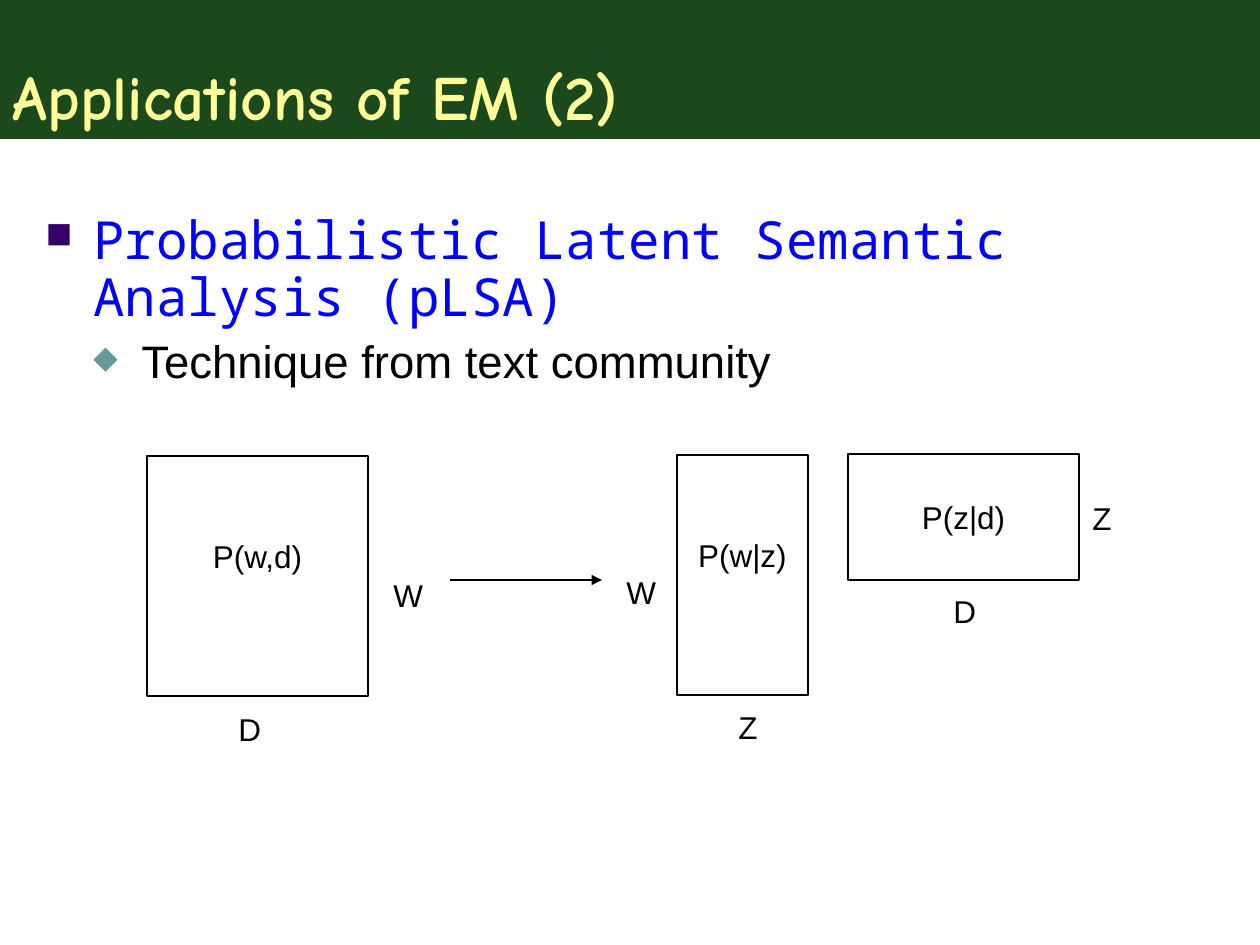
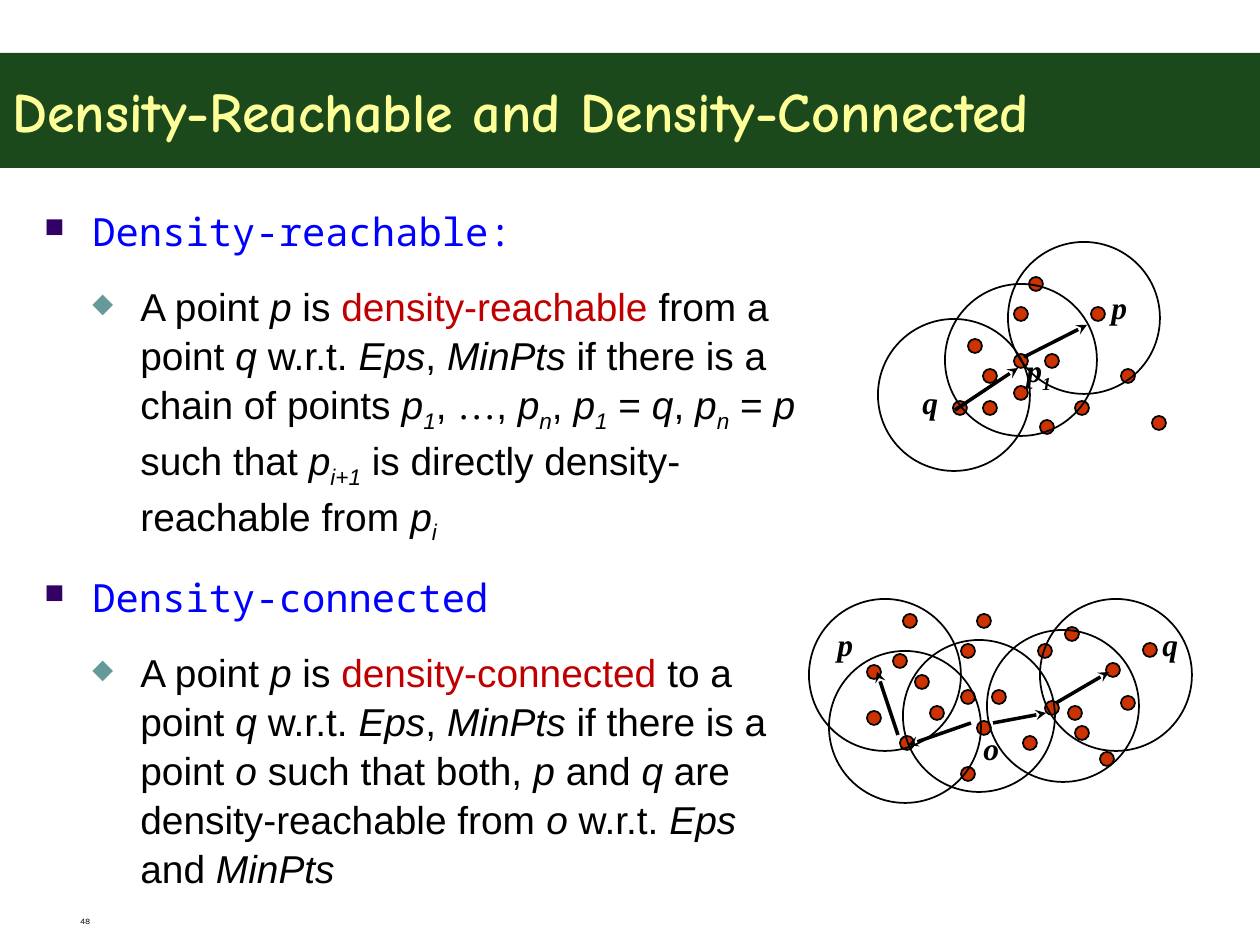
"""Build two slides on pLSA and density-based clustering."""
from dataclasses import dataclass
from typing import Any

from lxml import etree
from pptx import Presentation
from pptx import util as u
from pptx.dml.color import RGBColor
from pptx.enum import shapes, text
from pptx.oxml import ns

EMU_PER_PX = 914400 / 126
PAGE_WIDTH, PAGE_HEIGHT = 1260, 945
DOT_SIZE, CIRCLE_SIZE = 14, 152
TITLE_ONLY = 5

BAND_GREEN = RGBColor(0x00, 0x33, 0x00)
TITLE_YELLOW = RGBColor(0xFF, 0xFF, 0x99)
HEADING_BLUE = RGBColor(0x00, 0x00, 0xFF)
BLACK = RGBColor(0x00, 0x00, 0x00)
TERM_RED = RGBColor(0xC0, 0x00, 0x00)
DOT_RED = RGBColor(0xCC, 0x33, 0x00)
SQUARE_PURPLE = RGBColor(0x33, 0x00, 0x66)
DIAMOND_TEAL = RGBColor(0x66, 0x99, 0x99)

SANS, SERIF, MONO = "Arial", "Times New Roman", "Noto Sans Mono"
TITLE = {"name": "Comic Neue", "bold": True, "color": TITLE_YELLOW}
MATRIX_LABEL = {"name": SANS, "size": u.Pt(18), "color": BLACK}
POINT_LABEL = {"name": SERIF, "size": u.Pt(18), "color": BLACK, "bold": True, "italic": True}
PAGE_NUMBER = {"name": "Karla", "size": u.Pt(4.8), "color": BLACK}
MARKS = {
    "/": {"italic": True},
    "_": {"italic": True, "baseline": -25000},
    "!": {"color": TERM_RED},
    "^": {"name": SERIF},
}


@dataclass(frozen=True)
class Area:
    """A rectangle in px."""
    left: int
    top: int
    width: int
    height: int

    def emu(self) -> list[u.Emu]:
        """Return the four lengths in EMU."""
        return [px(n) for n in (self.left, self.top, self.width, self.height)]


@dataclass(frozen=True)
class Level:
    """The look of one outline level."""
    depth: int
    indent: int
    mark: str
    mark_color: RGBColor
    font: dict[str, Any]


@dataclass(frozen=True)
class Label:
    """A short text with its top left corner."""
    left: int
    top: int
    words: str


@dataclass(frozen=True)
class Matrix:
    """A framed matrix with its name a number of px below the top."""
    area: Area
    drop: int
    name: str


@dataclass(frozen=True)
class Cluster:
    """Points, their neighbourhoods, arrows between points, and names."""
    dots: list[tuple[int, int]]
    circles: list[tuple[int, int]]
    arrows: list[tuple[int, int, int, int]]
    labels: list[Label]


HEADING = Level(0, 48, "■", SQUARE_PURPLE, {"name": MONO, "color": HEADING_BLUE})
DETAIL = Level(1, 96, "◆", DIAMOND_TEAL, {"name": SANS, "color": BLACK})

MATRICES = [
    Matrix(Area(147, 456, 221, 240), 81, "P(w,d)"),
    Matrix(Area(677, 455, 131, 240), 81, "P(w|z)"),
    Matrix(Area(848, 454, 231, 126), 44, "P(z|d)"),
]
DIMENSIONS = [
    Label(726, 702, "Z"), Label(614, 567, "W"), Label(941, 586, "D"),
    Label(1080, 493, "Z"), Label(226, 704, "D"), Label(381, 570, "W"),
]
REACHABLE = Cluster(
    dots=[
        (968, 339), (1014, 354), (1014, 307), (953, 401), (983, 369),
        (983, 401), (1040, 420), (1029, 277), (1121, 369), (1091, 307),
        (1014, 386), (1045, 354), (1075, 401), (1152, 416),
    ],
    circles=[(945, 284), (878, 319), (1008, 242)],
    arrows=[(1024, 357, 1087, 325), (955, 410, 1018, 368)],
    labels=[Label(1099, 282, "p"), Label(910, 377, "q"), Label(1014, 345, "p|_1")],
)
CONNECTED = Cluster(
    dots=[
        (915, 675), (961, 690), (961, 644), (900, 736), (930, 706),
        (961, 767), (977, 721), (977, 614), (1068, 706), (1038, 644),
        (867, 711), (992, 690), (1023, 736), (1100, 752), (1121, 696),
        (1045, 701), (1075, 726), (1143, 643), (1065, 627), (1106, 663),
        (893, 654), (867, 665), (903, 614),
    ],
    circles=[(829, 651), (903, 640), (987, 630), (1040, 599), (809, 599)],
    arrows=[
        (971, 723, 908, 745), (993, 723, 1046, 713),
        (898, 735, 877, 672), (1056, 703, 1109, 672),
    ],
    labels=[Label(825, 619, "p"), Label(1150, 619, "q"), Label(971, 723, "o")],
)
REACHABLE_TEXT = (
    "A point |/p| is |!density-reachable| from a point |/q| w.r.t. |/Eps|, |/MinPts"
    "| if there is a chain of points |/p|_1|, |^…|, |/p|_n|, |/p|_1| = |/q|, |/p|_n"
    "| = |/p| such that |/p|_i+1| is directly density-reachable from |/p|_i"
)
CONNECTED_TEXT = (
    "A point |/p| is |!density-connected| to a point |/q| w.r.t. |/Eps|, |/MinPts"
    "| if there is a point |/o |such that both, |/p| and |/q"
    "| are density-reachable from |/o| w.r.t. |/Eps| and |/MinPts"
)


def px(length: int) -> u.Emu:
    """Turn px into EMU."""
    return u.Emu(round(length * EMU_PER_PX))


def add_span(para: Any, words: str, look: dict[str, Any]) -> None:
    """Add a run and set its font from a dict."""
    span = para.add_run()
    span.text = words
    for name, value in look.items():
        if name == "color":
            span.font.color.rgb = value
        elif name == "baseline":
            span._r.get_or_add_rPr().set(name, str(value))
        else:
            setattr(span.font, name, value)


def add_marked(para: Any, words: str, look: dict[str, Any]) -> None:
    """Add runs parted by bars, each styled by its leading mark."""
    for part in words.split("|"):
        mark = MARKS.get(part[0])
        add_span(para, part[1:] if mark else part, look | (mark or {}))


def add_bullet(para: Any, level: Level) -> None:
    """Give a paragraph the indent and bullet of its level."""
    props = para._p.get_or_add_pPr()
    props.set("marL", str(px(level.indent)))
    props.set("indent", str(px(-48)))
    color = etree.SubElement(props, ns.qn("a:buClr"))
    etree.SubElement(color, ns.qn("a:srgbClr"), val=str(level.mark_color))
    etree.SubElement(props, ns.qn("a:buSzPct"), val="70000")
    etree.SubElement(props, ns.qn("a:buChar"), char=level.mark)
    para.level = level.depth


def add_page(deck: Any, title: str, band: Area, size: int, anchor: Any) -> Any:
    """Add a slide whose title sits in a translucent green band."""
    page = deck.slides.add_slide(deck.slide_layouts[TITLE_ONLY])
    box = page.shapes.title
    for name, value in zip(("left", "top", "width", "height"), band.emu()):
        setattr(box, name, value)
    box.fill.solid()
    box.fill.fore_color.rgb = BAND_GREEN
    color = box._element.spPr.find(".//" + ns.qn("a:srgbClr"))
    etree.SubElement(color, ns.qn("a:alpha"), val="89000")
    frame = {"vertical_anchor": anchor, "auto_size": text.MSO_AUTO_SIZE.NONE, "word_wrap": True}
    for name, value in frame.items():
        setattr(box.text_frame, name, value)
    para = box.text_frame.paragraphs[0]
    para.alignment = text.PP_ALIGN.LEFT
    add_span(para, title, TITLE | {"size": u.Pt(size)})
    return page


def add_text_box(page: Any, area: Area) -> Any:
    """Add a wrapping text box and return its frame."""
    frame = page.shapes.add_textbox(*area.emu()).text_frame
    frame.word_wrap = True
    return frame


def add_outline(page: Any, area: Area, spacing: float,
                items: list[tuple[Level, str, float, float]]) -> None:
    """Add bulleted paragraphs of level, words, size and space before."""
    frame = add_text_box(page, area)
    for index, (level, words, size, before) in enumerate(items):
        para = frame.add_paragraph() if index else frame.paragraphs[0]
        add_bullet(para, level)
        para.line_spacing = spacing
        if index:
            para.space_before = u.Pt(before)
        add_marked(para, words, level.font | {"size": u.Pt(size)})


def add_label(page: Any, label: Label, look: dict[str, Any]) -> None:
    """Add a one-line label."""
    frame = add_text_box(page, Area(label.left, label.top, 60, 50))
    add_marked(frame.paragraphs[0], label.words, look)


def add_figure(page: Any, kind: Any, area: Area, width: float,
               fill: RGBColor | None = None) -> Any:
    """Add a black-lined shape, filled or clear."""
    figure = page.shapes.add_shape(kind, *area.emu())
    figure.shadow.inherit = False
    figure.line.color.rgb = BLACK
    figure.line.width = u.Pt(width)
    if fill is None:
        figure.fill.background()
    else:
        figure.fill.solid()
        figure.fill.fore_color.rgb = fill
    return figure


def add_arrow(page: Any, ends: tuple[int, int, int, int], width: float, head: str) -> None:
    """Add a straight arrow that points at its second end."""
    arrow = page.shapes.add_connector(shapes.MSO_CONNECTOR.STRAIGHT, *map(px, ends))
    arrow.line.color.rgb = BLACK
    arrow.line.width = u.Pt(width)
    etree.SubElement(arrow.line._get_or_add_ln(), ns.qn("a:tailEnd"), type=head)
    etree.SubElement(arrow._element.spPr, ns.qn("a:effectLst"))


def add_matrix(page: Any, matrix: Matrix) -> None:
    """Add a framed matrix with its name."""
    box = add_figure(page, shapes.MSO_SHAPE.RECTANGLE, matrix.area, 0.75)
    frame = box.text_frame
    frame.vertical_anchor = text.MSO_ANCHOR.TOP
    frame.margin_top = px(matrix.drop)
    frame.paragraphs[0].alignment = text.PP_ALIGN.CENTER
    add_span(frame.paragraphs[0], matrix.name, MATRIX_LABEL)


def add_cluster(page: Any, cluster: Cluster) -> None:
    """Add the points, neighbourhoods, arrows and names of a cluster."""
    oval = shapes.MSO_SHAPE.OVAL
    for left, top in cluster.dots:
        add_figure(page, oval, Area(left, top, DOT_SIZE, DOT_SIZE), 1, DOT_RED)
    for left, top in cluster.circles:
        add_figure(page, oval, Area(left, top, CIRCLE_SIZE, CIRCLE_SIZE), 1)
    for ends in cluster.arrows:
        add_arrow(page, ends, 2, "stealth")
    for label in cluster.labels:
        add_label(page, label, POINT_LABEL)


def build_plsa(deck: Any) -> None:
    """Build the slide on pLSA."""
    page = add_page(deck, "Applications of EM (2)", Area(0, 0, PAGE_WIDTH, 139), 36,
                    text.MSO_ANCHOR.BOTTOM)
    add_outline(page, Area(33, 208, 1206, 624), 0.9, [
        (HEADING, "Probabilistic Latent Semantic Analysis (pLSA)", 30, 0),
        (DETAIL, "Technique from text community", 26, 6.5),
    ])
    for matrix in MATRICES:
        add_matrix(page, matrix)
    for label in DIMENSIONS:
        add_label(page, label, MATRIX_LABEL)
    add_arrow(page, (450, 580, 602, 580), 0.75, "triangle")


def build_density(deck: Any) -> None:
    """Build the slide on density-reachable and density-connected points."""
    page = add_page(deck, "Density-Reachable and Density-Connected",
                    Area(0, 53, PAGE_WIDTH, 115), 32, text.MSO_ANCHOR.MIDDLE)
    add_outline(page, Area(32, 199, 777, 693), 1.05, [
        (level, words, 22.2, 15) for level, words in (
            (HEADING, "Density-reachable:"), (DETAIL, REACHABLE_TEXT),
            (HEADING, "Density-connected"), (DETAIL, CONNECTED_TEXT))
    ])
    for cluster in (REACHABLE, CONNECTED):
        add_cluster(page, cluster)
    number = add_text_box(page, Area(68, 910, 294, 26))
    add_span(number.paragraphs[0], "48", PAGE_NUMBER)


def main() -> None:
    """Build and save the deck."""
    deck = Presentation()
    deck.slide_width, deck.slide_height = px(PAGE_WIDTH), px(PAGE_HEIGHT)
    build_plsa(deck)
    build_density(deck)
    deck.save("out.pptx")


if __name__ == "__main__":
    main()
